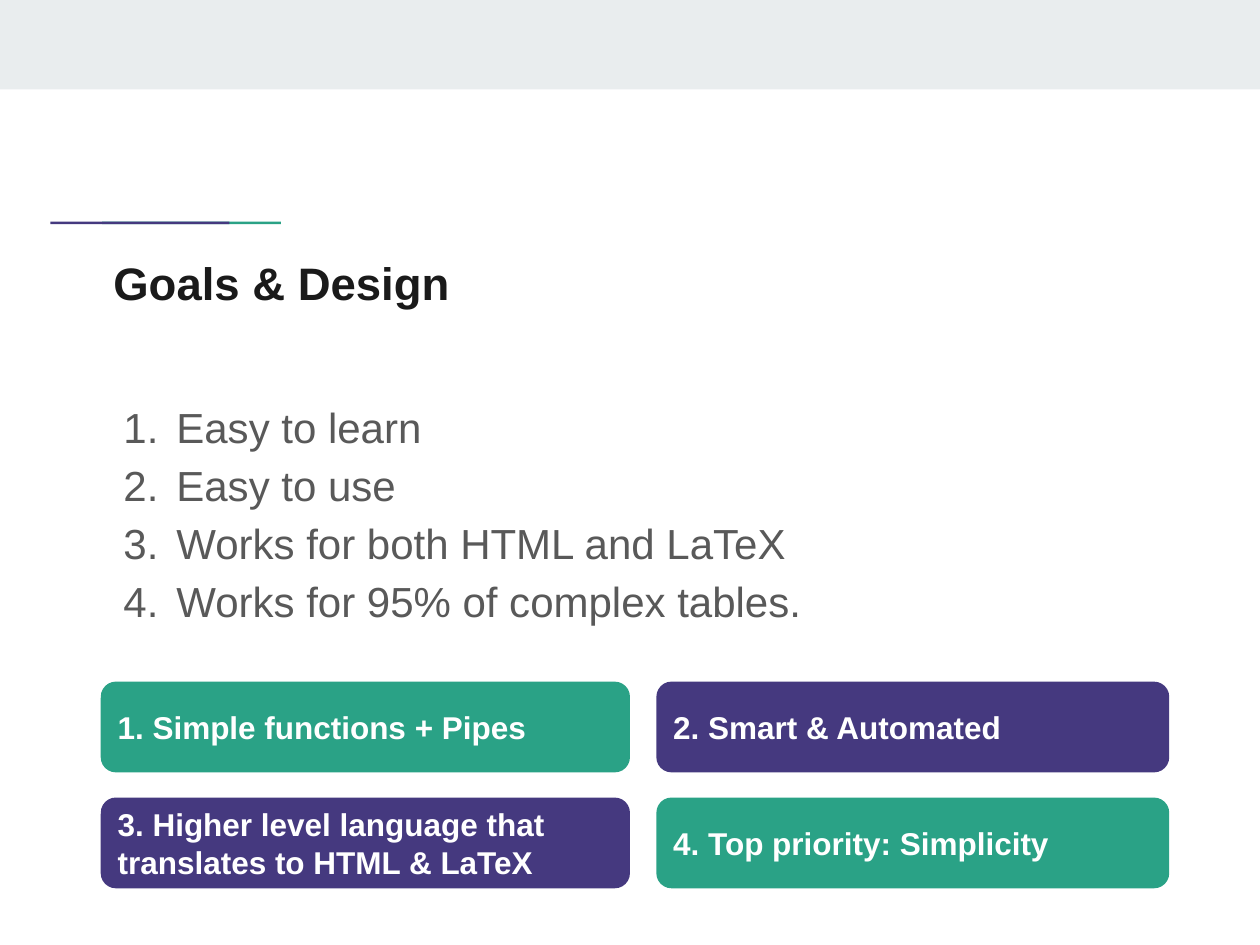
"""Build the Goals & Design slide: a numbered list above four coloured cards."""
import pptx
import pptx.util
import pptx.dml.color
import pptx.enum.shapes
import pptx.enum.text
import pptx.oxml
import pptx.oxml.ns
from dataclasses import dataclass

Inches = pptx.util.Inches
Kind = pptx.enum.shapes.MSO_SHAPE
Anchor = pptx.enum.text.MSO_ANCHOR


@dataclass
class Theme:
    font: str = "Arial"
    band: str = "E9EDEE"
    green: str = "2AA286"
    purple: str = "45397F"
    dark: str = "1A1A1A"
    grey: str = "595959"
    white: str = "FFFFFF"
    head: int = 26
    list: int = 24
    card: int = 18


theme = Theme()
rgb = pptx.dml.color.RGBColor.from_string


def block(kind, box, fill):
    shape = slide.shapes.add_shape(kind, *map(Inches, box))
    shape.shadow.inherit = False
    shape.fill.solid()
    shape.fill.fore_color.rgb = rgb(fill)
    shape.line.fill.background()
    return shape


def write(shape, lines, size, color, bold, anchor):
    frame = shape.text_frame
    frame.text = "\n".join(lines)
    form = {"word_wrap": True, "vertical_anchor": anchor,
            "auto_size": pptx.enum.text.MSO_AUTO_SIZE.NONE}
    form |= {f"margin_{side}": Inches(0.1) for side in ("left", "top", "right", "bottom")}
    for name, value in form.items():
        setattr(frame, name, value)
    for para in frame.paragraphs:
        para.alignment = pptx.enum.text.PP_ALIGN.LEFT
        font = para.runs[0].font
        for name, value in {"name": theme.font, "size": pptx.util.Pt(size), "bold": bold}.items():
            setattr(font, name, value)
        font.color.rgb = rgb(color)


deck = pptx.Presentation()
deck.slide_width, deck.slide_height = Inches(10), Inches(7.5)
slide = deck.slides.add_slide(deck.slide_layouts[1])
title, body = slide.placeholders

block(Kind.RECTANGLE, (0, 0, 10, 0.71), theme.band)
for left, fill in ((0.81, theme.green), (0.4, theme.purple)):
    block(Kind.RECTANGLE, (left, 1.76, 1.42, 0.02), fill)

for shape, top, height in ((title, 1.92, 0.78), (body, 3.03, 2.18)):
    place = {"left": 0.8, "top": top, "width": 8.41, "height": height}
    for name, value in place.items():
        setattr(shape, name, Inches(value))

write(title, ["Goals & Design"], theme.head, theme.dark, True, Anchor.TOP)
goals = ["Easy to learn", "Easy to use", "Works for both HTML and LaTeX",
         "Works for 95% of complex tables."]
write(body, goals, theme.list, theme.grey, False, Anchor.TOP)

space = pptx.oxml.ns.nsdecls("a")
for para in body.text_frame.paragraphs:
    for name, value in {"line_spacing": 1.15, "space_before": 0, "space_after": 0}.items():
        setattr(para, name, value)
    props = para._p.get_or_add_pPr()
    props.set("marL", str(Inches(0.5)))
    props.set("indent", str(Inches(-0.42)))
    for mark in (f'<a:buClr {space}><a:srgbClr val="{theme.grey}"/></a:buClr>',
                 f'<a:buAutoNum {space} type="arabicPeriod"/>'):
        props.append(pptx.oxml.parse_xml(mark))

cards = ["1. Simple functions + Pipes", "2. Smart & Automated",
         "3. Higher level language that translates to HTML & LaTeX",
         "4. Top priority: Simplicity"]
cols = ((0.8, 4.2), (5.21, 4.07))
for i, text in enumerate(cards):
    row, col = divmod(i, 2)
    left, width = cols[col]
    fill = (theme.green, theme.purple)[(row + col) % 2]
    card = block(Kind.ROUNDED_RECTANGLE, (left, 5.41 + 0.92 * row, width, 0.72), fill)
    write(card, [text], theme.card, theme.white, True, Anchor.MIDDLE)

deck.save("out.pptx")
